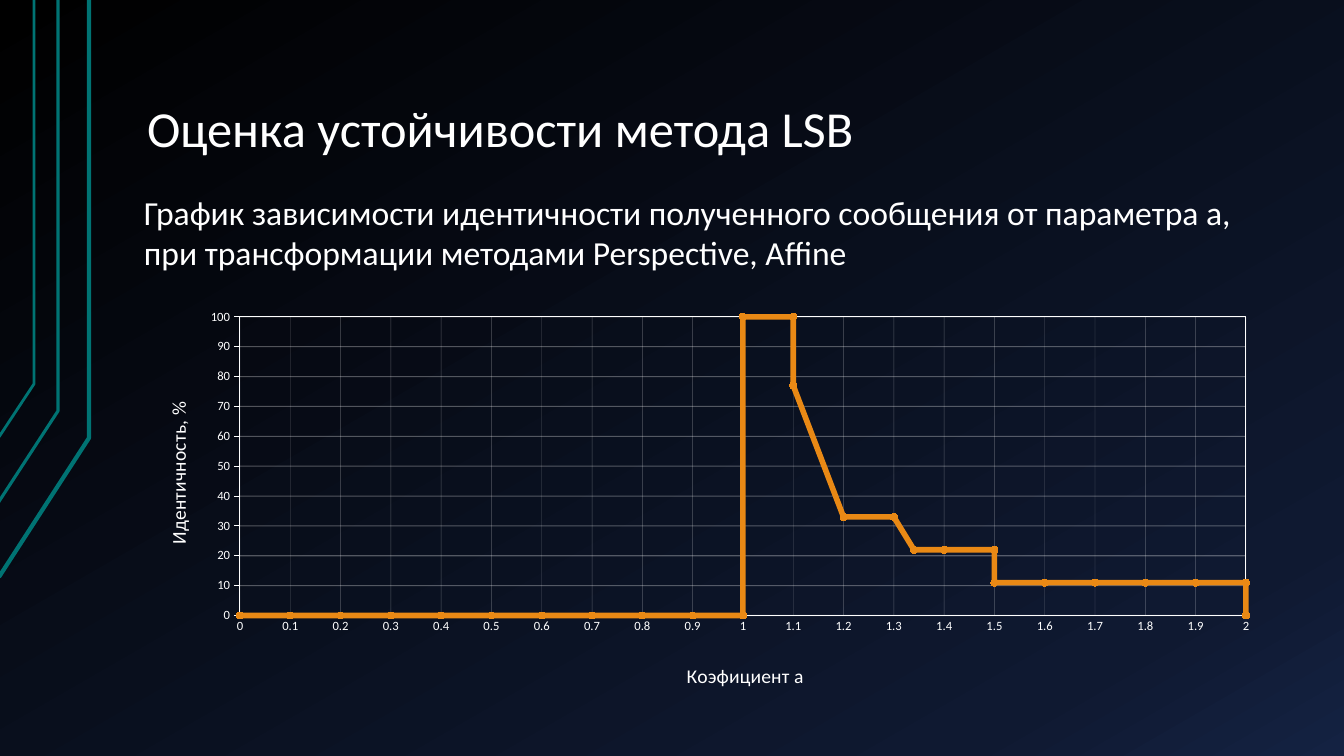
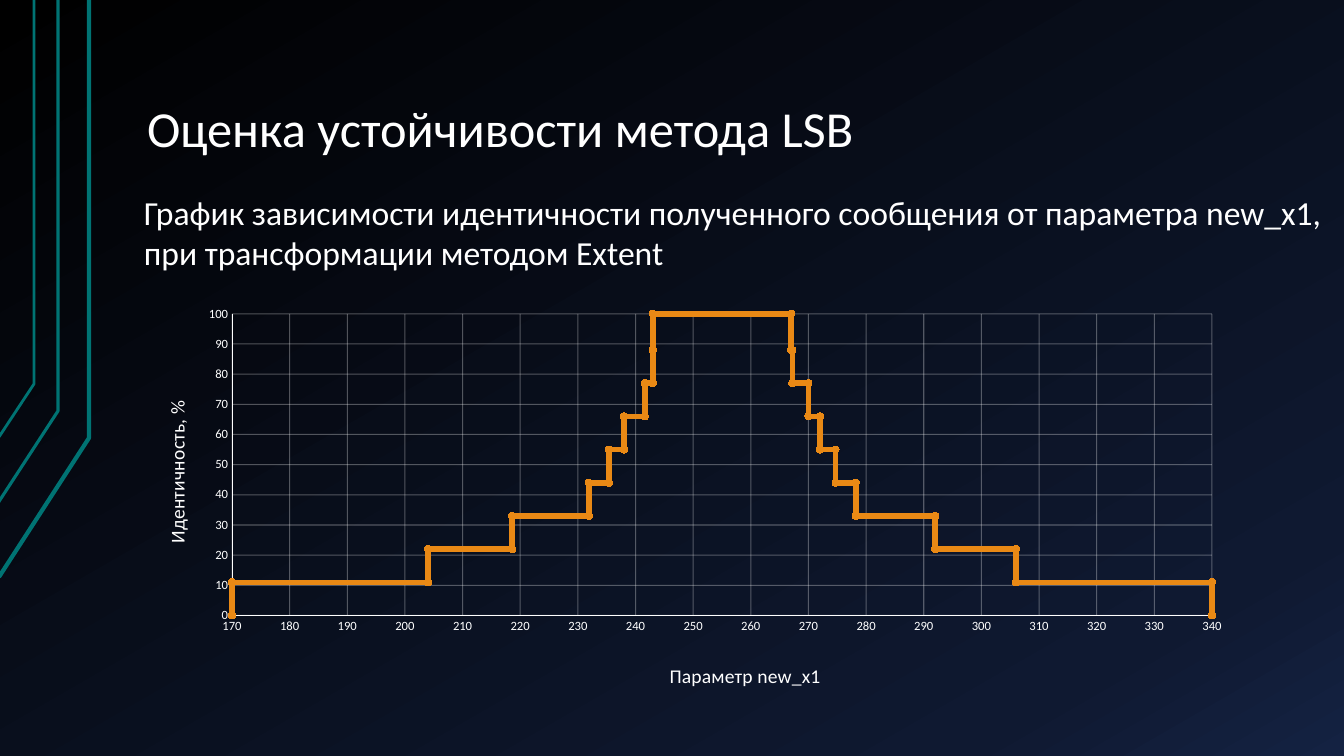
from copy import deepcopy

from pptx import Presentation
from pptx.chart.data import XyChartData
from pptx.dml.color import RGBColor
from pptx.enum.chart import XL_CHART_TYPE as ChartType
from pptx.enum.chart import XL_MARKER_STYLE as MarkerStyle
from pptx.enum.chart import XL_TICK_MARK as TickMark
from pptx.enum.text import MSO_ANCHOR as Anchor
from pptx.enum.text import MSO_AUTO_SIZE as AutoSize
from pptx.oxml import parse_xml
from pptx.oxml.ns import nsdecls, qn
from pptx.util import Emu, Pt

FONT = "Calibri"
WHITE, TEAL, ORANGE = "FFFFFF", "007373", "E98915"
BACKGROUND = [(0, "000000"), (0.85, "0F1931"), (1, "142242")]
TITLE = "Оценка устойчивости метода LSB"
TITLE_BOX = (134, 30, 1142, 135)

# Corner points in px and line width in points
SIDE_LINES = [
    ([(-1, 577), (89, 438), (89, 0)], 3),
    ([(-2, 503), (58, 411), (58, 0)], 2.25),
    ([(-1, 437), (34, 384), (34, 0)], 2),
]

# Boxes are left, top, width, height; plot and axis titles are relative to the chart box
PAGES = [
    {
        "lead": ["График зависимости идентичности полученного сообщения от параметра a,",
                 "при трансформации методами Perspective, Affine"],
        "lead_box": (134, 187, 1126, 92),
        "chart_box": (134, 301, 1137, 394),
        "plot_box": (106, 16, 1006, 301),
        "x_title": ("Коэфициент a", (549, 361)),
        "y_title": ("Идентичность, %", (27, 99)),
        "x_scale": (0, 2, 0.1),
        "x_grid_width": 0.3,
        "y_tick": TickMark.OUTSIDE,
        "frame": True,
        "points": [(step / 10, 0) for step in range(11)] + [
            (1, 100), (1.1, 100), (1.1, 77), (1.2, 33), (1.3, 33), (1.34, 22), (1.4, 22),
            (1.5, 22), (1.5, 11), (1.6, 11), (1.7, 11), (1.8, 11), (1.9, 11), (2, 11), (2, 0)],
    },
    {
        "lead": ["График зависимости идентичности полученного сообщения от параметра new_x1,",
                 "при трансформации методом Extent"],
        "lead_box": (134, 187, 1210, 92),
        "chart_box": (134, 298, 1109, 397),
        "plot_box": (98, 16, 980, 304),
        "x_title": ("Параметр new_x1", (532, 364)),
        "y_title": ("Идентичность, %", (26, 101)),
        "x_scale": (170, 340, 10),
        "x_grid_width": 0.75,
        "y_tick": TickMark.NONE,
        "frame": False,
        "points": [
            (170, 0), (170, 11), (204, 11), (204, 22), (218.6, 22), (218.6, 33),
            (231.9, 33), (231.9, 44), (235.4, 44), (235.4, 55), (238, 55), (238, 66),
            (241.6, 66), (241.6, 77), (243, 77), (243, 88), (243, 100),
            (267, 100), (267, 88), (267.2, 88), (267.2, 77), (270, 77), (270, 66),
            (272, 66), (272, 55), (274.7, 55), (274.7, 44), (278.2, 44), (278.2, 33),
            (292, 33), (292, 22), (306, 22), (306, 11), (340, 11), (340, 0)],
    },
]


def px(length):
    return Emu(round(length * 914400 / 100.8))


def color(value):
    return RGBColor.from_string(value)


def style_font(font, size, bold=None):
    font.name, font.size, font.bold = FONT, Pt(size), bold
    font.color.rgb = color(WHITE)


def style_line(line, value, width, alpha=None):
    line.color.rgb = color(value)
    line.width = Pt(width)
    if alpha is not None:
        tint = line.fill._xPr.find(".//" + qn("a:srgbClr"))
        tint.append(parse_xml(f'<a:alpha {nsdecls("a")} val="{alpha * 1000}"/>'))


def set_background(master):
    fill = master.background.fill
    fill.gradient()
    fill.gradient_angle = 300
    stops = master.element.find(".//" + qn("a:gsLst"))
    stops.append(deepcopy(stops[-1]))
    for stop, (position, value) in zip(fill.gradient_stops, BACKGROUND):
        stop.position = position
        stop.color.rgb = color(value)


def add_side_lines(page):
    for (start, *rest), width in SIDE_LINES:
        builder = page.shapes.build_freeform(px(start[0]), px(start[1]))
        builder.add_line_segments([(px(x), px(y)) for x, y in rest], close=False)
        bend = builder.convert_to_shape()
        bend.shadow.inherit = False
        bend.fill.background()
        style_line(bend.line, TEAL, width)


def add_text(page, box, lines, size):
    frame = page.shapes.add_textbox(*map(px, box)).text_frame
    frame.text = "\n".join(lines)
    for para in frame.paragraphs:
        for span in para.runs:
            style_font(span.font, size)
    return frame


def add_title(page):
    frame = add_text(page, TITLE_BOX, [TITLE], 36)
    frame.word_wrap = True
    frame.vertical_anchor = Anchor.BOTTOM
    frame.margin_left = frame.margin_right = px(13)
    frame.margin_top = frame.margin_bottom = px(7)
    frame.paragraphs[0].line_spacing = 0.9


def add_lead(page, box, lines):
    frame = add_text(page, box, lines, 24)
    frame.word_wrap = False
    frame.auto_size = AutoSize.SHAPE_TO_FIT_TEXT


def set_layout(parent, index, chart_box, place):
    """Place a chart part by px inside the chart box."""
    fractions = [length / chart_box[2 + i % 2] for i, length in enumerate(place)]
    target = '<c:layoutTarget val="inner"/>' if len(place) == 4 else ""
    modes = '<c:xMode val="edge"/><c:yMode val="edge"/>'
    values = "".join(f'<c:{tag} val="{part:.4f}"/>' for tag, part in zip("xywh", fractions))
    old = parent.find(qn("c:layout"))
    if old is not None:
        parent.remove(old)
    parent.insert(index, parse_xml(
        f'<c:layout {nsdecls("c")}><c:manualLayout>{target}{modes}{values}'
        '</c:manualLayout></c:layout>'))


def shape_properties(framed=False):
    line = (f'<a:ln w="9525"><a:solidFill><a:srgbClr val="{WHITE}"/></a:solidFill></a:ln>'
            if framed else '<a:ln><a:noFill/></a:ln>')
    return parse_xml(f'<c:spPr {nsdecls("c", "a")}><a:noFill/>{line}</c:spPr>')


def style_axis(axis, scale, title, chart_box, tick, grid_width):
    axis.minimum_scale, axis.maximum_scale, axis.major_unit = scale
    axis.major_tick_mark, axis.minor_tick_mark = tick, TickMark.NONE
    style_line(axis.format.line, WHITE, 0.75)
    axis.has_major_gridlines = True
    style_line(axis.major_gridlines.format.line, WHITE, grid_width, alpha=30)
    style_font(axis.tick_labels.font, 9)
    axis.tick_labels.number_format = "General"
    axis.tick_labels.number_format_is_linked = False
    # Axis title
    words, place = title
    frame = axis.axis_title.text_frame
    frame.text = words
    style_font(frame.paragraphs[0].runs[0].font, 14, bold=False)
    set_layout(axis.axis_title._element, 1, chart_box, place)
    return frame


def add_scatter(page, content):
    box = content["chart_box"]
    data = XyChartData()
    series_data = data.add_series("Series 1")
    for x, y in content["points"]:
        series_data.add_data_point(x, y)
    chart = page.shapes.add_chart(ChartType.XY_SCATTER_LINES, *map(px, box), data).chart
    chart.has_legend = chart.has_title = False
    style_font(chart.font, 10)
    # Transparent chart and plot area
    chart_node = chart.element.find(qn("c:chart"))
    chart_node.addnext(shape_properties())
    plot_node = chart_node.find(qn("c:plotArea"))
    plot_node.append(shape_properties(content["frame"]))
    set_layout(plot_node, 0, box, content["plot_box"])
    # Axes
    style_axis(chart.category_axis, content["x_scale"], content["x_title"], box,
               TickMark.NONE, content["x_grid_width"])
    y_title = style_axis(chart.value_axis, (0, 100, 10), content["y_title"], box,
                         content["y_tick"], 0.75)
    turned = y_title._txBody.find(qn("a:bodyPr"))
    turned.set("rot", "-5400000")
    turned.set("vert", "horz")
    # Series
    plot = chart.plots[0]
    plot.vary_by_categories = False
    series = plot.series[0]
    series.smooth = False
    style_line(series.format.line, ORANGE, 4)
    marker = series.marker
    marker.style, marker.size = MarkerStyle.CIRCLE, 5
    marker.format.fill.solid()
    marker.format.fill.fore_color.rgb = color(ORANGE)
    style_line(marker.format.line, ORANGE, 0.75)


def add_chart_page(deck, content):
    page = deck.slides.add_slide(deck.slide_layouts[6])
    add_side_lines(page)
    add_title(page)
    add_lead(page, content["lead_box"], content["lead"])
    add_scatter(page, content)


def main():
    deck = Presentation()
    deck.slide_width, deck.slide_height = px(1344), px(756)
    set_background(deck.slide_master)
    for content in PAGES:
        add_chart_page(deck, content)
    deck.save("out.pptx")


if __name__ == "__main__":
    main()
